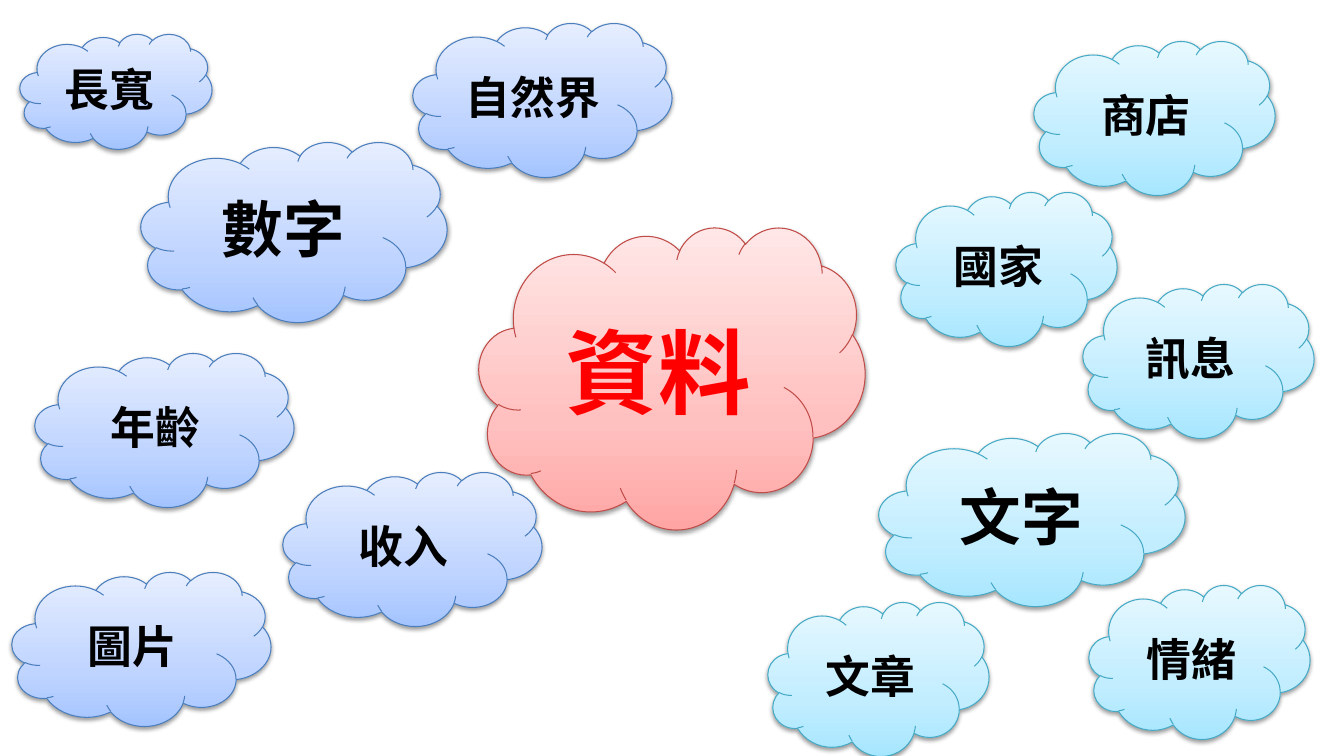
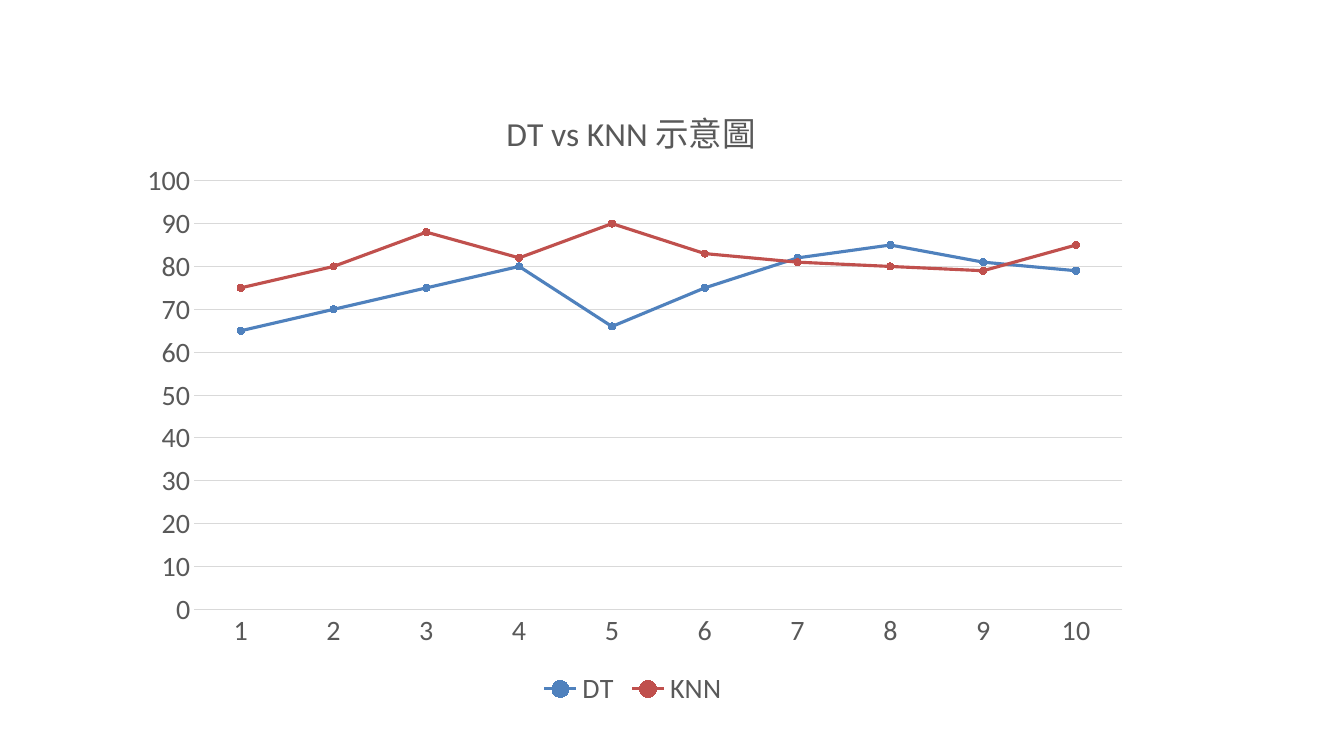
import pptx
import pptx.util
import pptx.chart.data
import pptx.dml.color
import pptx.enum.chart
import pptx.enum.shapes
import pptx.enum.text
from lxml import etree
from pptx.oxml.ns import qn

PX = 914400 / 100.8  # EMU in one px
FONT = "Calibri"
GREY, RULE = "595959", "D9D9D9"

# Cloud tones: gradient from the bottom up, then outline
STOPS = (0, 35, 100)
RED = ("FFA6A5", "FFC0BF", "FFE7E7"), "BF4C48"
BLUE = ("A4C4FF", "BFD4FF", "E6EEFF"), "4B7EBC"
CYAN = ("A7E6FF", "C1EDFF", "E7F8FF"), "46AAC5"


def px(n):
    return pptx.util.Emu(round(n * PX))


def rgb(code):
    return pptx.dml.color.RGBColor.from_string(code)


def node(host, tag, **attrs):
    return etree.SubElement(host, qn(tag), {k: str(v) for k, v in attrs.items()})


class Deck:
    def __init__(self):
        self.prs = pptx.Presentation()
        self.prs.slide_width, self.prs.slide_height = px(1344), px(756)
        self.slide = None

    def page(self):
        self.slide = self.prs.slides.add_slide(self.prs.slide_layouts[6])

    def font(self, font, size, color, bold=False):
        font.name, font.size, font.bold = FONT, pptx.util.Pt(size), bold
        font.color.rgb = rgb(color)

    def line(self, line, color, width=0.75):
        line.color.rgb, line.width = rgb(color), pptx.util.Pt(width)

    def shade(self, shape):
        """Give a shape a soft shadow straight below it."""
        shape.shadow.inherit = False
        glow = node(shape._element.spPr.find(qn("a:effectLst")), "a:outerShdw",
                    blurRad=40000, dist=20000, dir=5400000, rotWithShape=0)
        node(node(glow, "a:srgbClr", val="000000"), "a:alpha", val=38000)

    def blend(self, shape, tones):
        shape.fill.gradient()
        shape.fill.gradient_angle = 90
        stops = shape._element.spPr.find(qn("a:gradFill")).find(qn("a:gsLst"))
        for old in list(stops):
            stops.remove(old)
        for pos, tone in zip(STOPS, tones):
            node(node(stops, "a:gs", pos=pos * 1000), "a:srgbClr", val=tone)

    def cloud(self, text, box, look, size=32, color="000000"):
        shape = self.slide.shapes.add_shape(
            pptx.enum.shapes.MSO_SHAPE.CLOUD, *map(px, box))
        tones, edge = look
        self.blend(shape, tones)
        self.line(shape.line, edge)
        self.shade(shape)
        frame = shape.text_frame
        frame.word_wrap = True
        frame.vertical_anchor = pptx.enum.text.MSO_ANCHOR.MIDDLE
        para = frame.paragraphs[0]
        para.alignment = pptx.enum.text.PP_ALIGN.CENTER
        run = para.add_run()
        run.text = text
        self.font(run.font, size, color, True)

    def place(self, host, index, **spots):
        """Pin a chart part at fractions of the chart."""
        layout = host.find(qn("c:layout"))
        if layout is None:
            layout = etree.Element(qn("c:layout"))
            host.insert(index, layout)
        manual = node(layout, "c:manualLayout")
        if "w" in spots:
            node(manual, "c:layoutTarget", val="inner")
        for key in "xy":
            node(manual, f"c:{key}Mode", val="edge")
        for key, spot in spots.items():
            node(manual, f"c:{key}", val=spot)

    def graph(self, title, box, cats, rows):
        data = pptx.chart.data.CategoryChartData()
        data.categories = cats
        for name, tone, vals in rows:
            data.add_series(name, vals)
        kinds = pptx.enum.chart
        chart = self.slide.shapes.add_chart(
            kinds.XL_CHART_TYPE.LINE_MARKERS, *map(px, box), data).chart
        self.font(chart.font, 20, GREY)

        # Title
        chart.has_title = True
        run = chart.chart_title.text_frame.paragraphs[0].add_run()
        run.text = title
        self.font(run.font, 24, GREY)
        self.place(chart.chart_title._element, 1, x=0.37, y=0.04)
        self.place(chart._chartSpace.chart.plotArea, 0,
                   x=0.07, y=0.17, w=0.91, h=0.67)

        # Legend
        chart.has_legend = True
        chart.legend.position = kinds.XL_LEGEND_POSITION.BOTTOM
        chart.legend.include_in_layout = False
        self.font(chart.legend.font, 20, GREY)

        # Axes
        cat, val = chart.category_axis, chart.value_axis
        for axis in (cat, val):
            axis.major_tick_mark = kinds.XL_TICK_MARK.NONE
            axis.minor_tick_mark = kinds.XL_TICK_MARK.NONE
            self.font(axis.tick_labels.font, 20, GREY)
        self.line(cat.format.line, RULE)
        val.minimum_scale, val.maximum_scale, val.major_unit = 0, 100, 10
        val.format.line.fill.background()
        val.has_major_gridlines = True
        self.line(val.major_gridlines.format.line, RULE)

        # Series
        plot = chart.plots[0]
        plot.vary_by_categories = False
        for item, (name, tone, vals) in zip(plot.series, rows):
            item.smooth = False
            self.line(item.format.line, tone, 2.25)
            mark = item.marker
            mark.style, mark.size = kinds.XL_MARKER_STYLE.CIRCLE, 5
            mark.format.fill.solid()
            mark.format.fill.fore_color.rgb = rgb(tone)
            self.line(mark.format.line, tone)


def main():
    deck = Deck()

    # Kinds of data: the core, two themes and their examples
    deck.page()
    deck.cloud("資料", (479, 227, 386, 302), RED, 66, "FF0000")
    deck.cloud("數字", (141, 142, 306, 180), BLUE, 44)
    deck.cloud("文字", (879, 433, 306, 173), CYAN, 44)
    deck.cloud("長寬", (20, 34, 192, 115), BLUE)
    for text, left, top in (("自然界", 413, 23), ("年齡", 35, 353),
                            ("圖片", 12, 572), ("收入", 283, 472)):
        deck.cloud(text, (left, top, 259, 154), BLUE)
    for text, left, top, width in (
            ("訊息", 1083, 284, 231), ("文章", 768, 602, 221),
            ("情緒", 1089, 585, 221), ("商店", 1034, 41, 241),
            ("國家", 896, 192, 221)):
        deck.cloud(text, (left, top, width, 154), CYAN)

    # Two models compared
    deck.page()
    deck.graph("DT vs KNN 示意圖", (123, 72, 1020, 640),
               [str(n) for n in range(1, 11)],
               (("DT", "4F81BD", (65, 70, 75, 80, 66, 75, 82, 85, 81, 79)),
                ("KNN", "C0504D", (75, 80, 88, 82, 90, 83, 81, 80, 79, 85))))

    deck.prs.save("out.pptx")


if __name__ == "__main__":
    main()
